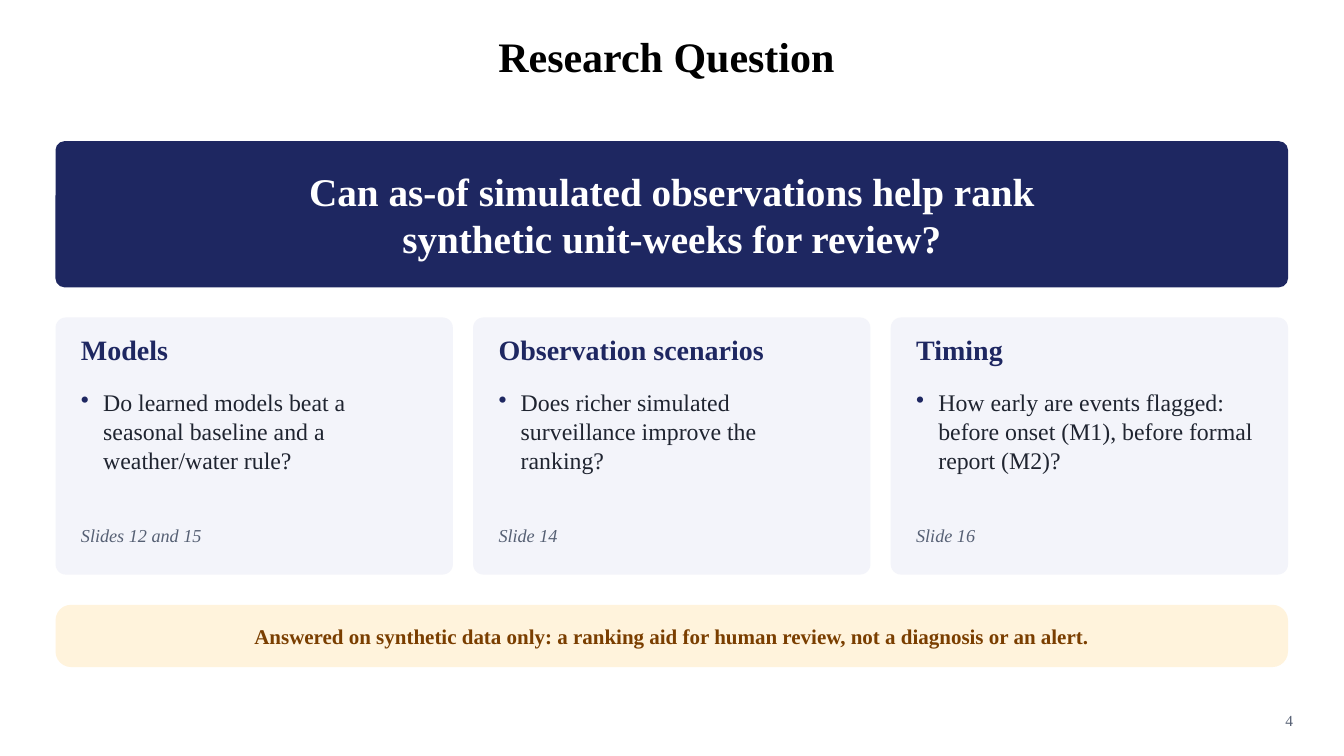
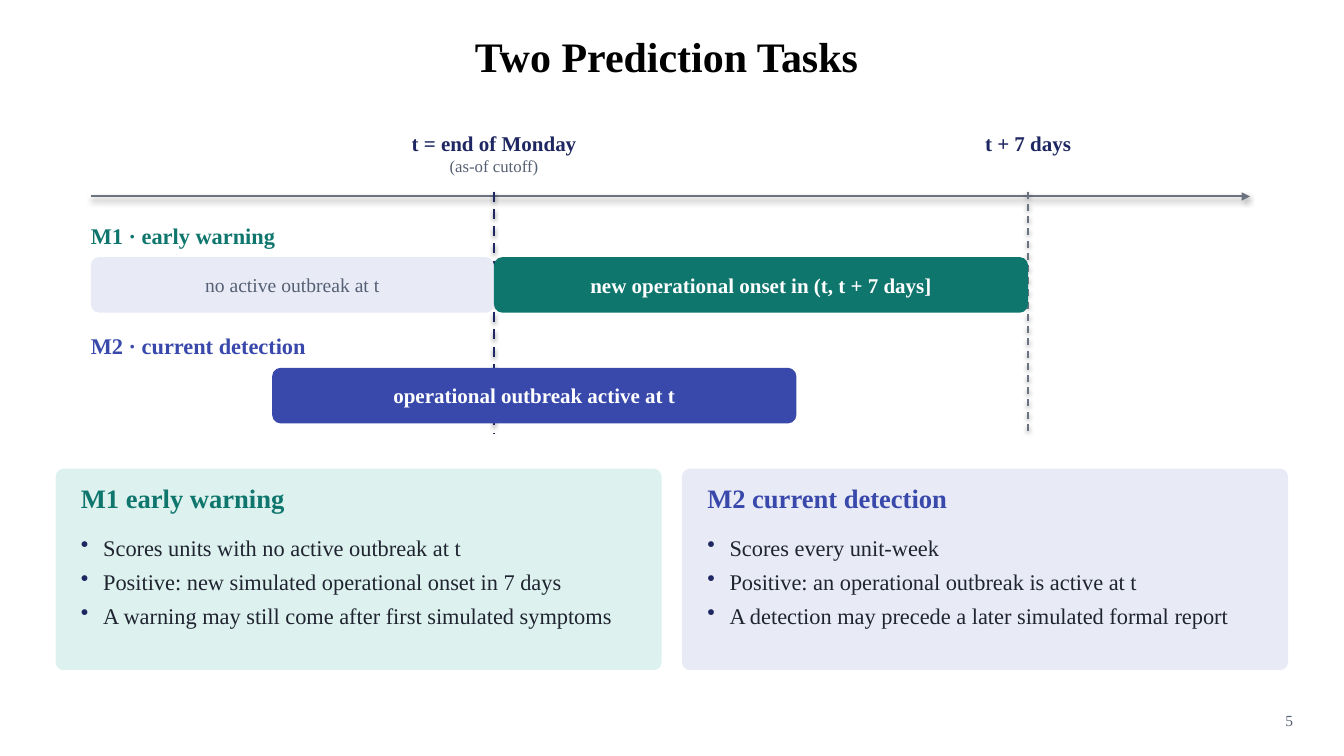
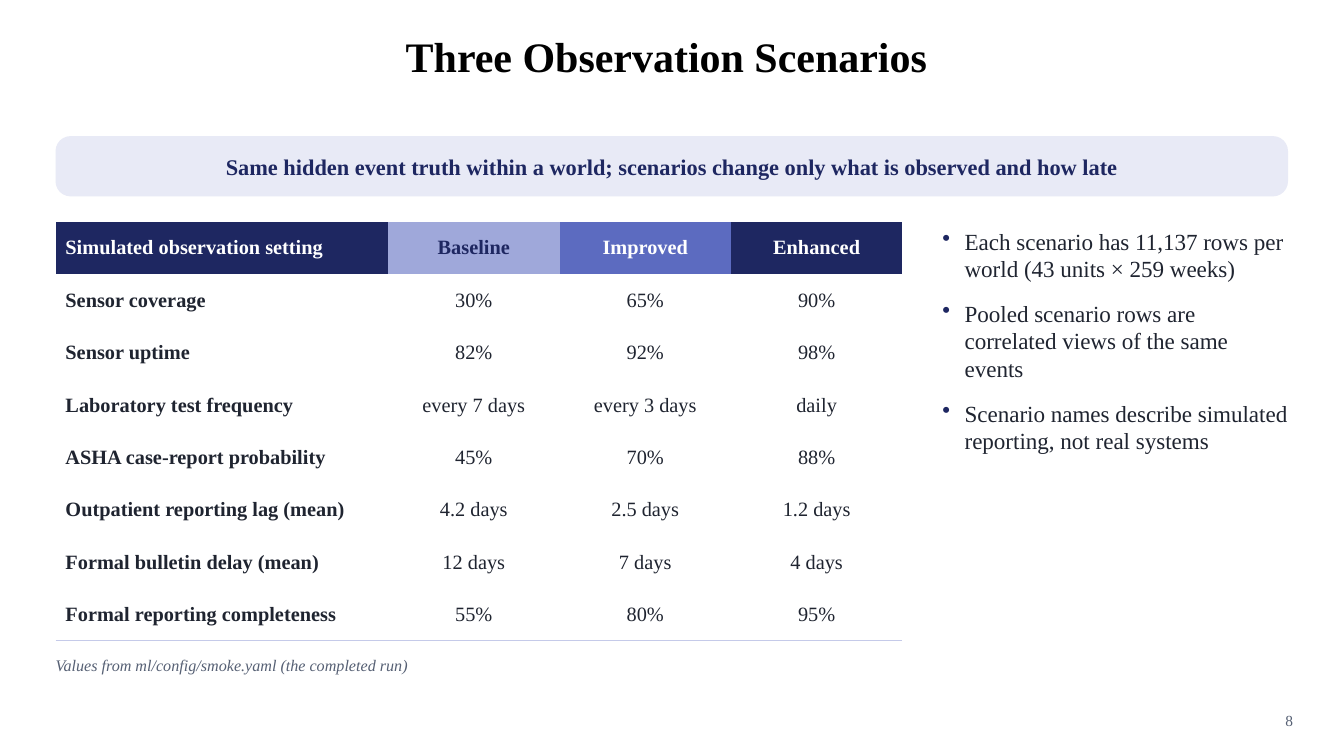
"""Build three slides on the research question, prediction tasks and observation scenarios."""
import pptx
import pptx.dml.color
import pptx.enum.dml
import pptx.enum.shapes
import pptx.enum.text
import pptx.oxml
import pptx.oxml.ns
import pptx.util

Cm = pptx.util.Cm
Pt = pptx.util.Pt
RGBColor = pptx.dml.color.RGBColor
qn = pptx.oxml.ns.qn
LEFT = pptx.enum.text.PP_ALIGN.LEFT
CENTER = pptx.enum.text.PP_ALIGN.CENTER
RIGHT = pptx.enum.text.PP_ALIGN.RIGHT
TOP = pptx.enum.text.MSO_ANCHOR.TOP
MIDDLE = pptx.enum.text.MSO_ANCHOR.MIDDLE
STRAIGHT = pptx.enum.shapes.MSO_CONNECTOR.STRAIGHT
DASH = pptx.enum.dml.MSO_LINE.DASH

BLACK = RGBColor(0x00, 0x00, 0x00)
WHITE = RGBColor(0xFF, 0xFF, 0xFF)
NAVY = RGBColor(0x1E, 0x27, 0x61)
INK = RGBColor(0x1F, 0x24, 0x30)
SLATE = RGBColor(0x56, 0x60, 0x74)
GRAY = RGBColor(0x6B, 0x72, 0x80)
MIST = RGBColor(0xF3, 0xF4, 0xFA)
CREAM = RGBColor(0xFF, 0xF3, 0xDC)
BROWN = RGBColor(0x7A, 0x3E, 0x00)
TEAL = RGBColor(0x0F, 0x76, 0x6E)
MINT = RGBColor(0xDD, 0xF1, 0xEE)
INDIGO = RGBColor(0x39, 0x49, 0xAB)
LAVENDER = RGBColor(0xE8, 0xEA, 0xF6)
PERIWINKLE = RGBColor(0x9F, 0xA8, 0xDA)
IRIS = RGBColor(0x5C, 0x6B, 0xC0)
RULE_COLOR = RGBColor(0xC5, 0xCA, 0xE9)

FONT = "Times New Roman"
MARGIN, CONTENT_WIDTH, GAP, PADDING = 1.4, 31.06, 0.51, 0.64
BOLD = {"bold": True}
ITALIC = {"italic": True}
NAMESPACE = pptx.oxml.ns.nsdecls("a")


def write(frame, lines, size, color, style={}, align=LEFT, bullet_gap=None):
    """Append one paragraph per line to a text frame."""
    for line in lines:
        paragraph = frame.add_paragraph() if frame.text else frame.paragraphs[0]
        paragraph.alignment = align
        if bullet_gap is not None:
            properties = paragraph._p.get_or_add_pPr()
            properties.set("marL", str(Cm(0.56)))
            properties.set("indent", str(-Cm(0.56)))
            for bullet in (f'<a:buClr {NAMESPACE}><a:srgbClr val="{NAVY}"/></a:buClr>',
                           f'<a:buChar {NAMESPACE} char="•"/>'):
                properties.append(pptx.oxml.parse_xml(bullet))
            paragraph.space_after = Pt(bullet_gap)
        run = paragraph.add_run()
        run.text = line
        run.font.color.rgb = color
        for name, value in {"name": FONT, "size": Pt(size), **style}.items():
            setattr(run.font, name, value)


def add_frame(slide, box, fill=None, radius=None, anchor=TOP):
    """Add a text box, or a filled rounded panel, and return its text frame."""
    lengths = [Cm(value) for value in box]
    if fill is None:
        frame = slide.shapes.add_textbox(*lengths).text_frame
        for side in ("left", "top", "right", "bottom"):
            setattr(frame, f"margin_{side}", 0)
    else:
        shape = slide.shapes.add_shape(
            pptx.enum.shapes.MSO_SHAPE.ROUNDED_RECTANGLE, *lengths)
        shape.adjustments[0] = radius
        shape.shadow.inherit = False
        shape.fill.solid()
        shape.fill.fore_color.rgb = fill
        shape.line.fill.background()
        frame = shape.text_frame
    frame.word_wrap = True
    frame.vertical_anchor = anchor
    return frame


presentation = pptx.Presentation()
presentation.slide_width = Cm(33.87)
presentation.slide_height = Cm(19.05)

slides = []
for title, number in (("Research Question", "4"), ("Two Prediction Tasks", "5"),
                      ("Three Observation Scenarios", "8")):
    slide = presentation.slides.add_slide(presentation.slide_layouts[6])
    write(add_frame(slide, (5.84, 0.51, 21.92, 1.78), anchor=MIDDLE),
          [title], 30, BLACK, BOLD, CENTER)
    write(add_frame(slide, (31.32, 17.91, 1.27, 0.64)), [number], 11, SLATE, align=RIGHT)
    slides.append(slide)
question_slide, tasks_slide, scenarios_slide = slides

banner = add_frame(question_slide, (MARGIN, 3.56, CONTENT_WIDTH, 3.68), NAVY, 0.06, MIDDLE)
write(banner, ["Can as-of simulated observations help rank", "synthetic unit-weeks for review?"],
      28, WHITE, BOLD, CENTER)

questions = (
    ("Models", "Do learned models beat a seasonal baseline and a weather/water rule?",
     "Slides 12 and 15"),
    ("Observation scenarios", "Does richer simulated surveillance improve the ranking?",
     "Slide 14"),
    ("Timing", "How early are events flagged: before onset (M1), before formal report (M2)?",
     "Slide 16"),
)
card_width = (CONTENT_WIDTH - 2 * GAP) / 3
for index, (heading, question, reference) in enumerate(questions):
    left = MARGIN + index * (card_width + GAP)
    text_left, text_width = left + PADDING, card_width - 2 * PADDING
    add_frame(question_slide, (left, 8, card_width, 6.48), MIST, 0.04)
    write(add_frame(question_slide, (text_left, 8.38, text_width, 1.02)),
          [heading], 20, NAVY, BOLD)
    write(add_frame(question_slide, (text_left, 9.78, text_width, 3.56)),
          [question], 17, INK, bullet_gap=6)
    write(add_frame(question_slide, (text_left, 13.21, text_width, 0.76)),
          [reference], 13, SLATE, ITALIC)

caution = add_frame(question_slide, (MARGIN, 15.24, CONTENT_WIDTH, 1.57), CREAM, 0.25, MIDDLE)
write(caution,
      ["Answered on synthetic data only: a ranking aid for human review, not a diagnosis or an alert."],
      15, BROWN, BOLD, CENTER)

axis_start, cutoff, horizon, axis_end = 2.29, 12.45, 25.91, 31.5
timeline_lines = (
    (axis_start, 4.95, axis_end, 4.95, GRAY, 1.5, None),
    (cutoff, 4.83, cutoff, 10.92, NAVY, 1.75, DASH),
    (horizon, 4.83, horizon, 10.92, GRAY, 1.25, DASH),
)
for start_x, start_y, end_x, end_y, color, weight, dash in timeline_lines:
    connector = tasks_slide.shapes.add_connector(
        STRAIGHT, Cm(start_x), Cm(start_y), Cm(end_x), Cm(end_y))
    connector.line.color.rgb = color
    connector.line.width = Pt(weight)
    if dash:
        connector.line.dash_style = dash
    else:
        arrowhead = pptx.oxml.parse_xml(f'<a:tailEnd {NAMESPACE} type="triangle"/>')
        connector.element.spPr.find(qn("a:ln")).append(arrowhead)

for center, width, label, remark in ((cutoff, 9.14, "t = end of Monday", "(as-of cutoff)"),
                                     (horizon, 7.62, "t + 7 days", None)):
    frame = add_frame(tasks_slide, (center - width / 2, 3.3, width, 1.4))
    write(frame, [label], 15, NAVY, BOLD, CENTER)
    if remark:
        write(frame, [remark], 12, SLATE, align=CENTER)

for top, label, color in ((5.59, "M1 · early warning", TEAL),
                          (8.38, "M2 · current detection", INDIGO)):
    write(add_frame(tasks_slide, (axis_start, top, 12.7, 0.76)), [label], 16, color, BOLD)

bars = (
    (axis_start, cutoff, 6.48, LAVENDER, "no active outbreak at t", 14, SLATE, {}),
    (cutoff, horizon, 6.48, TEAL, "new operational onset in (t, t + 7 days]", 15, WHITE, BOLD),
    (6.86, 20.07, 9.27, INDIGO, "operational outbreak active at t", 15, WHITE, BOLD),
)
for start, end, top, fill, label, size, color, style in bars:
    bar = add_frame(tasks_slide, (start, top, end - start, 1.4), fill, 0.15, MIDDLE)
    write(bar, [label], size, color, style, CENTER)

tasks = (
    ("M1 early warning", TEAL, MINT,
     ["Scores units with no active outbreak at t",
      "Positive: new simulated operational onset in 7 days",
      "A warning may still come after first simulated symptoms"]),
    ("M2 current detection", INDIGO, LAVENDER,
     ["Scores every unit-week",
      "Positive: an operational outbreak is active at t",
      "A detection may precede a later simulated formal report"]),
)
panel_width = (CONTENT_WIDTH - GAP) / 2
for index, (heading, color, fill, points) in enumerate(tasks):
    left = MARGIN + index * (panel_width + GAP)
    text_left, text_width = left + PADDING, panel_width - 2 * PADDING
    add_frame(tasks_slide, (left, 11.81, panel_width, 5.08), fill, 0.04)
    write(add_frame(tasks_slide, (text_left, 12.14, text_width, 1.02)),
          [heading], 19, color, BOLD)
    write(add_frame(tasks_slide, (text_left, 13.46, text_width, 3.3)),
          points, 16, INK, bullet_gap=5)

premise = add_frame(scenarios_slide, (MARGIN, 3.43, CONTENT_WIDTH, 1.52), LAVENDER, 0.25, MIDDLE)
write(premise,
      ["Same hidden event truth within a world; scenarios change only what is observed and how late"],
      16, NAVY, BOLD, CENTER)

settings = (
    ("Simulated observation setting", "Baseline", "Improved", "Enhanced"),
    ("Sensor coverage", "30%", "65%", "90%"),
    ("Sensor uptime", "82%", "92%", "98%"),
    ("Laboratory test frequency", "every 7 days", "every 3 days", "daily"),
    ("ASHA case-report probability", "45%", "70%", "88%"),
    ("Outpatient reporting lag (mean)", "4.2 days", "2.5 days", "1.2 days"),
    ("Formal bulletin delay (mean)", "12 days", "7 days", "4 days"),
    ("Formal reporting completeness", "55%", "80%", "95%"),
)
column_widths = (8.38, 4.32, 4.32, 4.32)
header_fills = (NAVY, PERIWINKLE, IRIS, NAVY)
header_colors = (WHITE, NAVY, WHITE, WHITE)
row_height = 1.32
table_width = sum(column_widths)
table_frame = scenarios_slide.shapes.add_table(
    len(settings), len(column_widths), Cm(MARGIN), Cm(5.59),
    Cm(table_width), Cm(row_height * len(settings)))
table = table_frame.table
table.first_row = table.horz_banding = False
for style_id in table_frame.element.iter(qn("a:tableStyleId")):
    style_id.text = "{2D5ABB26-0587-4C30-8999-92F81FD0307C}"
for column, width in zip(table.columns, column_widths):
    column.width = Cm(width)
for row_index, values in enumerate(settings):
    table.rows[row_index].height = Cm(row_height)
    for column_index, value in enumerate(values):
        header = row_index == 0
        cell = table.cell(row_index, column_index)
        cell.margin_left = cell.margin_right = Cm(0.25)
        cell.margin_top = cell.margin_bottom = Cm(0.1)
        cell.vertical_anchor = MIDDLE
        cell.fill.solid()
        cell.fill.fore_color.rgb = header_fills[column_index] if header else WHITE
        write(cell.text_frame, [value], 14.5,
              header_colors[column_index] if header else INK,
              BOLD if header or column_index == 0 else {},
              CENTER if column_index else LEFT)
cell_properties = list(table_frame.element.iter(qn("a:tcPr")))
for properties in cell_properties[-len(column_widths):]:
    properties.insert(0, pptx.oxml.parse_xml(
        f'<a:lnB {NAMESPACE} w="{Pt(0.75)}"><a:solidFill>'
        f'<a:srgbClr val="{RULE_COLOR}"/></a:solidFill></a:lnB>'))

write(add_frame(scenarios_slide, (23.75, 5.72, 8.76, 8.89)),
      ["Each scenario has 11,137 rows per world (43 units × 259 weeks)",
       "Pooled scenario rows are correlated views of the same events",
       "Scenario names describe simulated reporting, not real systems"],
      16.5, INK, bullet_gap=12)
write(add_frame(scenarios_slide, (MARGIN, 16.51, table_width, 0.76)),
      ["Values from ml/config/smoke.yaml (the completed run)"], 11.5, SLATE, ITALIC)

presentation.save("out.pptx")
